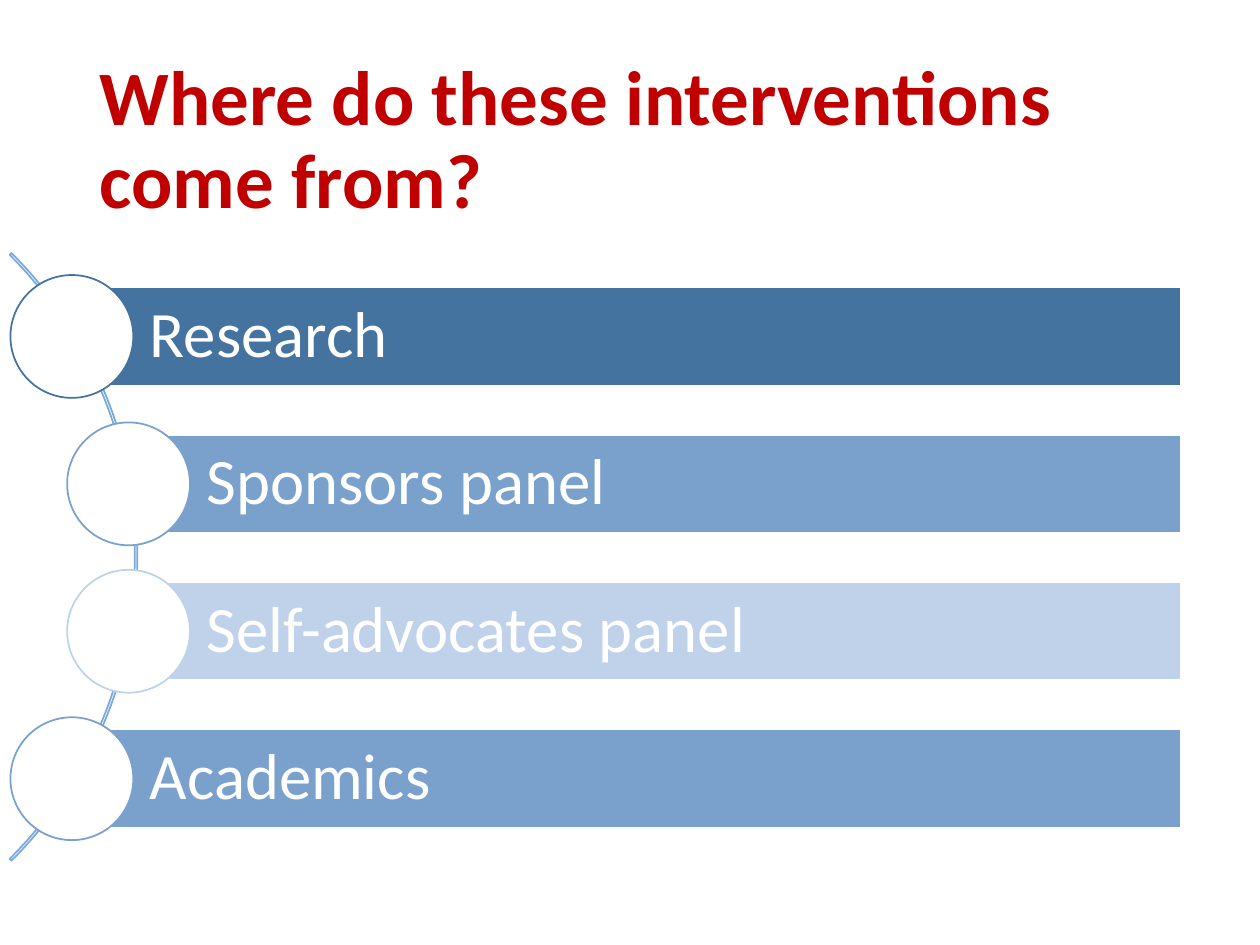
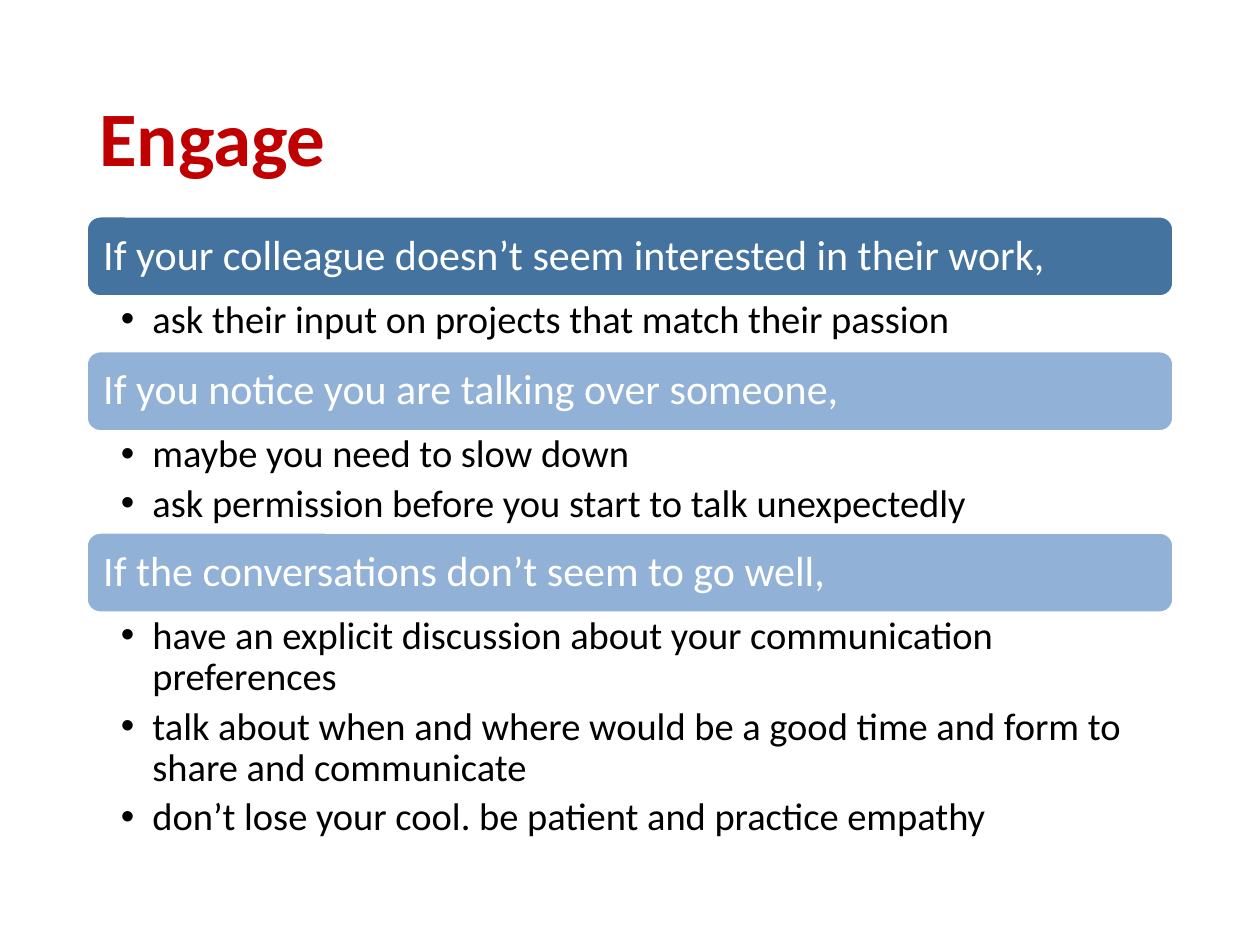
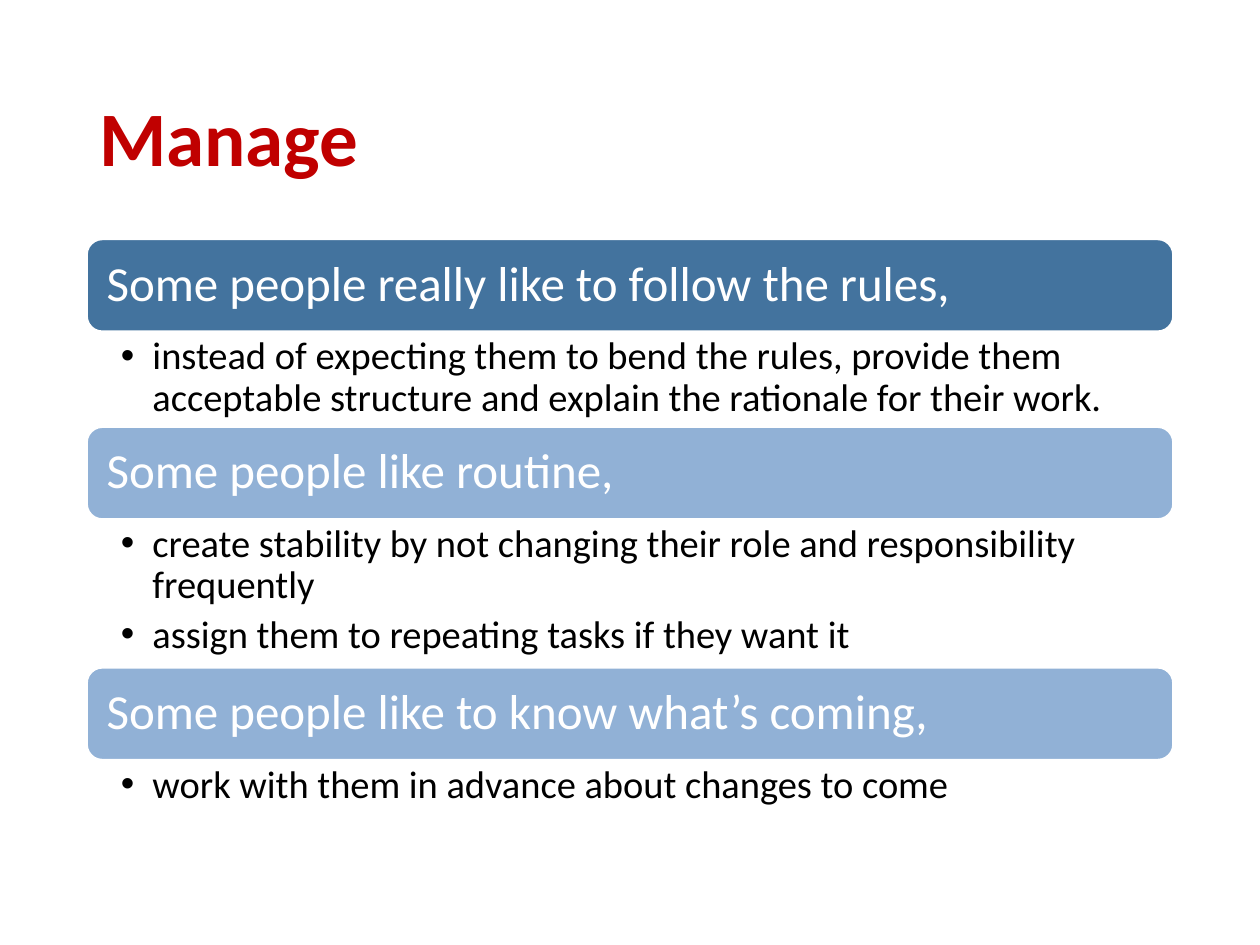
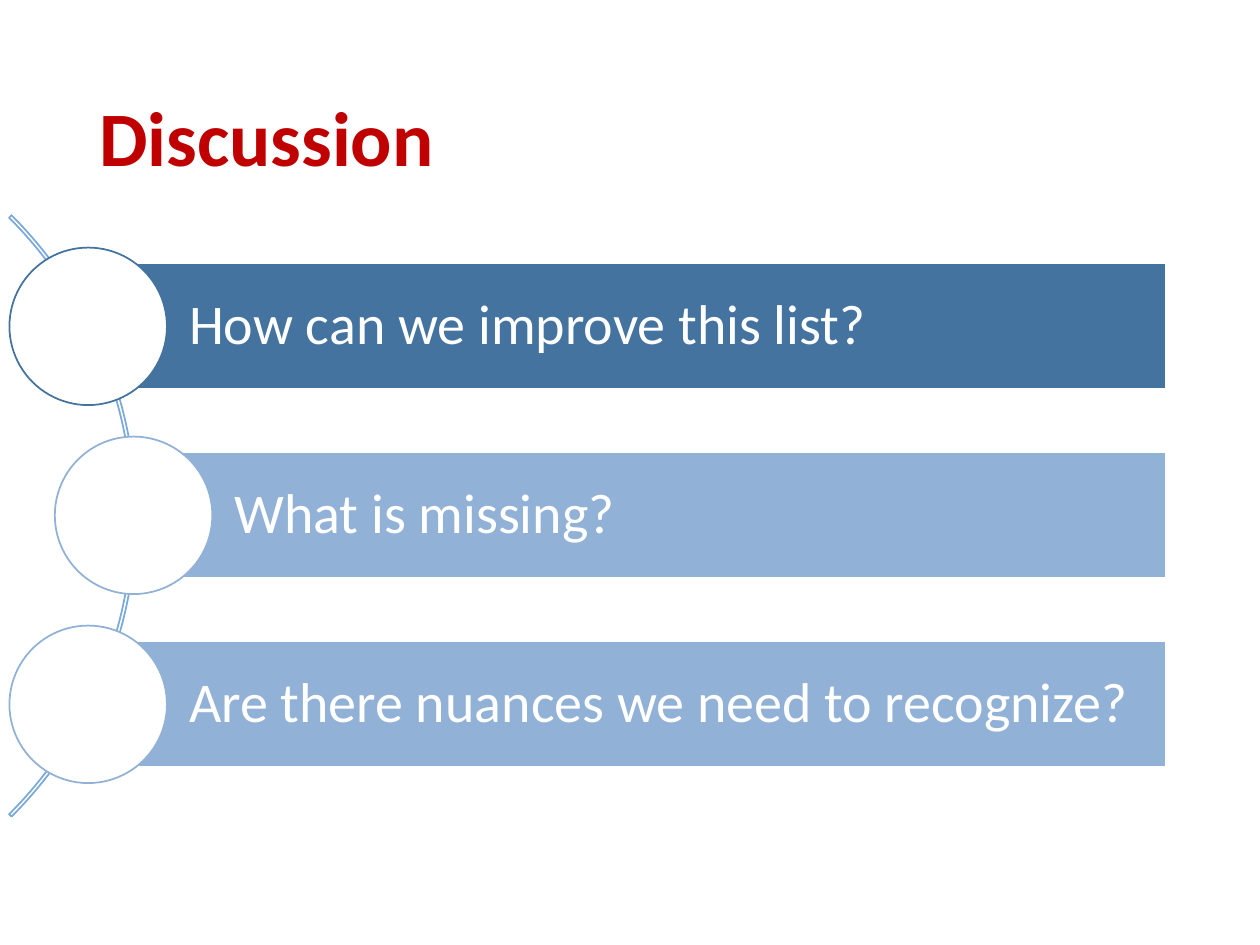
"""Builds four slides on where interventions come from, how to engage, how to manage, and a discussion."""
from lxml.etree import SubElement
from pptx import Presentation
from pptx.dml.color import RGBColor
from pptx.enum.shapes import MSO_SHAPE
from pptx.enum.text import MSO_ANCHOR, PP_ALIGN
from pptx.oxml.ns import qn
from pptx.util import Inches, Pt

COLORS = {
    "title": "C00000",
    "dark": "43739E",
    "medium": "7AA1CC",
    "soft": "91B1D6",
    "pale": "C0D2EA",
    "arc": "7AA9DA",
    "white": "FFFFFF",
    "black": "000000",
}
FONT = "Calibri"


def add_outlined(slide, preset, place, fill, line):
    shape = slide.shapes.add_shape(preset, *[Inches(length) for length in place])
    shape.shadow.inherit = False
    if fill:
        shape.fill.solid()
        shape.fill.fore_color.rgb = RGBColor.from_string(COLORS[fill])
    else:
        shape.fill.background()
    shape.line.color.rgb = RGBColor.from_string(COLORS[line])
    shape.line.width = Pt(1)
    return shape


def write(shape, lines, size, color, margins, anchor=MSO_ANCHOR.MIDDLE, bold=False):
    frame = shape.text_frame
    frame.word_wrap = True
    frame.vertical_anchor = anchor
    frame.margin_left, frame.margin_top, frame.margin_right, frame.margin_bottom = [
        Inches(margin) for margin in margins
    ]
    frame.text = "\n".join(lines)
    for paragraph in frame.paragraphs:
        paragraph.alignment = PP_ALIGN.LEFT
        paragraph.line_spacing = 0.9
        font = paragraph.runs[0].font
        font.name = FONT
        font.size = Pt(size)
        font.bold = bold
        font.color.rgb = RGBColor.from_string(COLORS[color])
    return frame


deck = Presentation()
deck.slide_width = Inches(10)
deck.slide_height = Inches(7.5)

slides = []
for heading in ["Where do these interventions come from?", "Engage", "Manage", "Discussion"]:
    slide = deck.slides.add_slide(deck.slide_layouts[6])
    title = slide.shapes.add_textbox(Inches(0.69), Inches(0.4), Inches(8.62), Inches(1.45))
    write(title, [heading], 44, "title", (0.1, 0.05, 0.1, 0.05), bold=True)
    slides.append(slide)
sources, engage, manage, discussion = slides

arc_lists = [
    {
        "slide": sources, "arc": (-5.73, 1.01, 6.82, 6.82), "thickness": 0.003,
        "top": 2.28, "step": 1.17, "height": 0.78, "right": 9.37,
        "size": 37, "indent": 0.62, "margin": 0.1,
        "items": [
            ("Research", 0.57, "dark"),
            ("Sponsors panel", 1.02, "medium"),
            ("Self-advocates panel", 1.02, "pale"),
            ("Academics", 0.57, "medium"),
        ],
    },
    {
        "slide": discussion, "arc": (-5.67, 0.72, 6.75, 6.75), "thickness": 0.004,
        "top": 2.09, "step": 1.5, "height": 1, "right": 9.25,
        "size": 32, "indent": 0.8, "margin": 0.09,
        "items": [
            ("How can we improve this list?", 0.7, "dark"),
            ("What is missing?", 1.06, "soft"),
            ("Are there nuances we need to recognize?", 0.7, "soft"),
        ],
    },
]
for group in arc_lists:
    slide, height, margin = group["slide"], group["height"], group["margin"]
    arc = add_outlined(slide, MSO_SHAPE.BLOCK_ARC, group["arc"], None, "arc")
    for index, value in enumerate((189, 27, group["thickness"])):
        arc.adjustments[index] = value
    diameter = 1.25 * height
    for row, (words, left, color) in enumerate(group["items"]):
        top = group["top"] + row * group["step"]
        bar = add_outlined(
            slide, MSO_SHAPE.RECTANGLE, (left, top, group["right"] - left, height), color, "white"
        )
        write(bar, [words], group["size"], "white", (group["indent"], margin, margin, margin))
        circle_place = (left - diameter / 2, top - height / 8, diameter, diameter)
        add_outlined(slide, MSO_SHAPE.OVAL, circle_place, "white", color)

advice_lists = [
    {
        "slide": engage, "top": 1.72, "height": 0.63, "size": 24, "margin": 0.1,
        "advice_margins": (0.27, 0.03, 0.17, 0.03),
        "items": [
            ("If your colleague doesn’t seem interested in their work,", 0.44,
             ["ask their input on projects that match their passion"]),
            ("If you notice you are talking over someone,", 0.81,
             ["maybe you need to slow down",
              "ask permission before you start to talk unexpectedly"]),
            ("If the conversations don’t seem to go well,", 1.9,
             ["have an explicit discussion about your communication preferences",
              "talk about when and where would be a good time and form to share and communicate",
              "don’t lose your cool. be patient and practice empathy"]),
        ],
    },
    {
        "slide": manage, "top": 1.9, "height": 0.73, "size": 28, "margin": 0.12,
        "advice_margins": (0.27, 0.04, 0.22, 0.04),
        "items": [
            ("Some people really like to follow the rules,", 0.76,
             ["instead of expecting them to bend the rules, provide them acceptable structure "
              "and explain the rationale for their work."]),
            ("Some people like routine,", 1.18,
             ["create stability by not changing their role and responsibility frequently",
              "assign them to repeating tasks if they want it"]),
            ("Some people like to know what’s coming,", 0.51,
             ["work with them in advance about changes to come"]),
        ],
    },
]
for group in advice_lists:
    slide, top, height = group["slide"], group["top"], group["height"]
    for row, (situation, advice_height, advice) in enumerate(group["items"]):
        color = "soft" if row else "dark"
        bar = add_outlined(
            slide, MSO_SHAPE.ROUNDED_RECTANGLE, (0.69, top, 8.62, height), color, "white"
        )
        write(bar, [situation], group["size"], "white", [group["margin"]] * 4)
        top += height
        advice_box = slide.shapes.add_textbox(
            Inches(0.69), Inches(top), Inches(8.62), Inches(advice_height)
        )
        frame = write(
            advice_box, advice, 22, "black", group["advice_margins"], anchor=MSO_ANCHOR.TOP
        )
        for paragraph in frame.paragraphs:
            paragraph.level = 1
            paragraph.space_after = Pt(4.4)
            properties = paragraph._p.get_or_add_pPr()
            properties.set("marL", str(Inches(0.25)))
            properties.set("indent", str(Inches(-0.25)))
            SubElement(properties, qn("a:buFont")).set("typeface", "Arial")
            SubElement(properties, qn("a:buChar")).set("char", "•")
        top += advice_height

deck.save("out.pptx")
